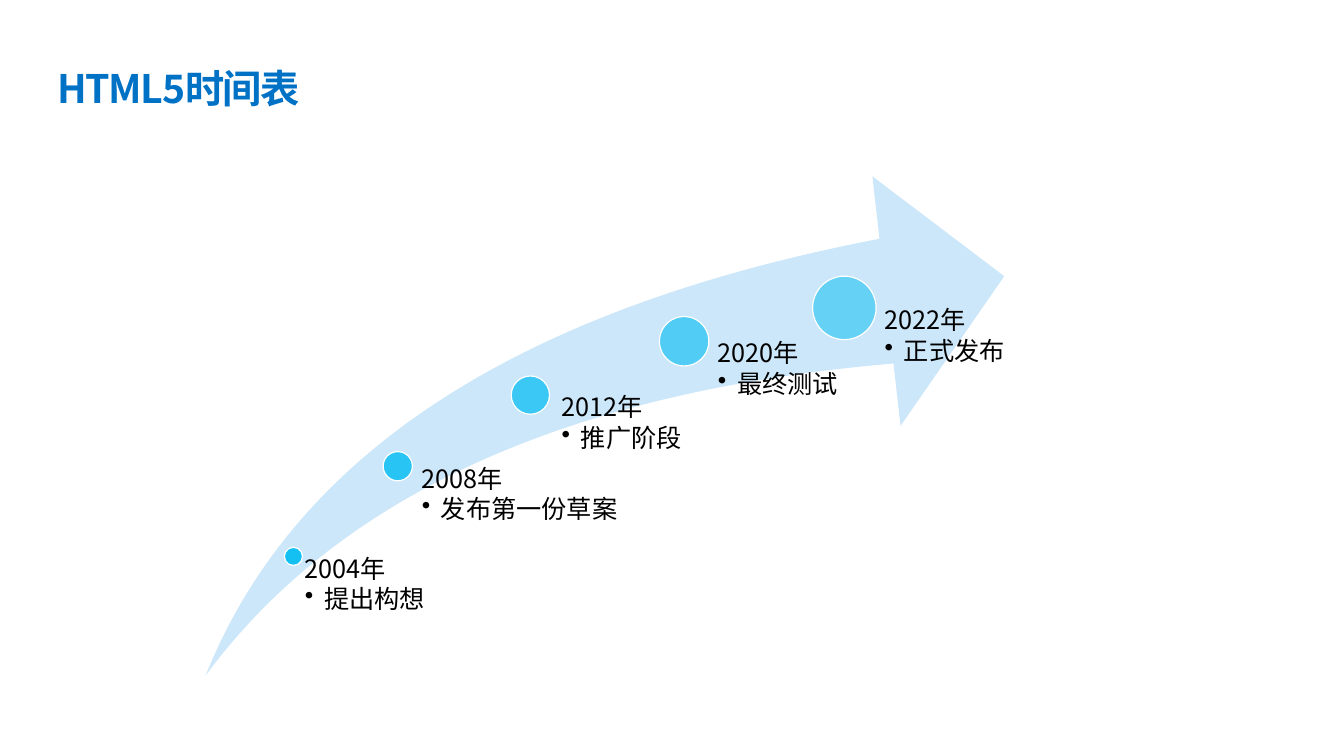
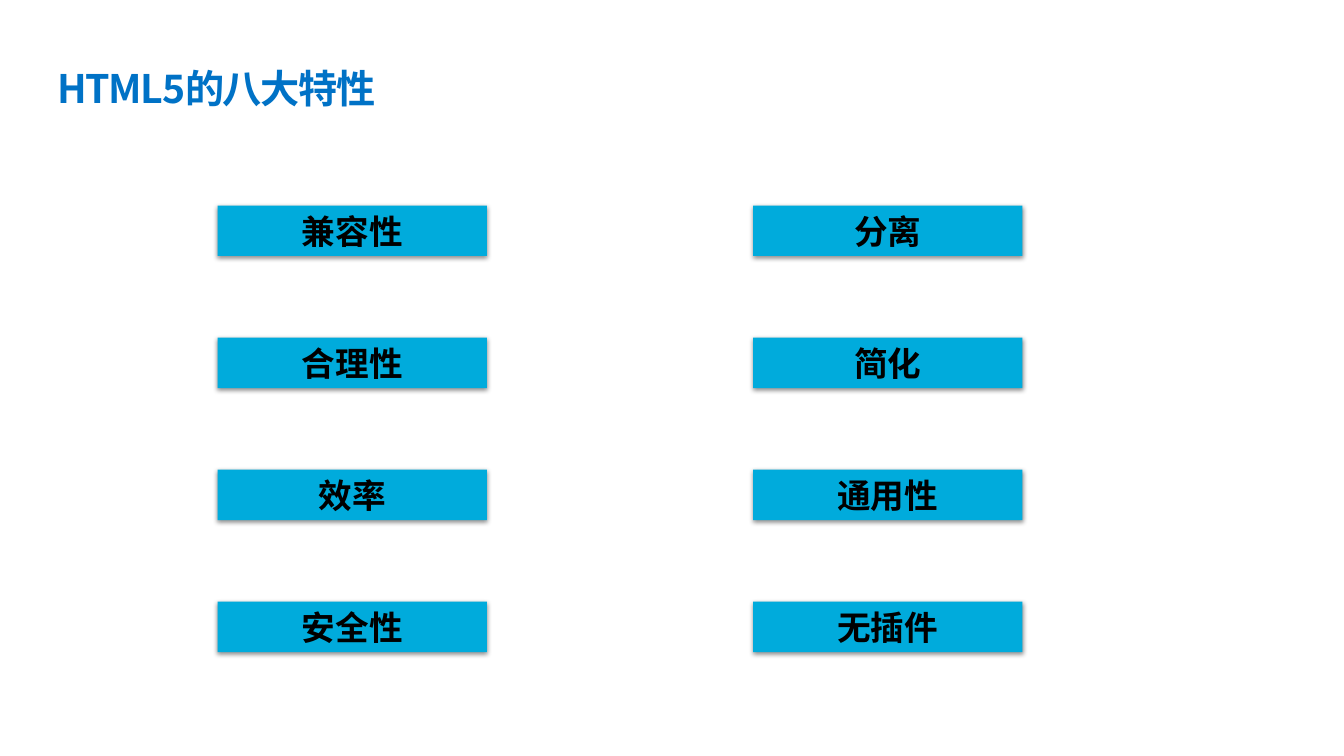
from lxml.etree import SubElement as Sub
from pptx import Presentation
from pptx.dml.color import RGBColor as RGB
from pptx.enum.shapes import MSO_SHAPE as Shape
from pptx.enum.text import MSO_ANCHOR as Anchor, MSO_AUTO_SIZE as Auto, PP_ALIGN as Align
from pptx.oxml.ns import qn
from pptx.util import Inches, Pt

COLORS = {
    "title": "0072C6",
    "arrow": "CCE7FA",
    "dot": "00BCF2",
    "box": "00ABDC",
    "text": "000000",
    "line": "FFFFFF",
}
SANS = "Noto Sans CJK SC"
BOTTOM = 6.7

STEPS = [
    (2.82, 5.43, 0.18, 2.93, 1.83, "2004年", "提出构想"),
    (3.8, 4.48, 0.29, 4.03, 2.16, "2008年", "发布第一份草案"),
    (5.07, 3.73, 0.38, 5.37, 1.83, "2012年", "推广阶段"),
    (6.54, 3.14, 0.49, 6.86, 1.58, "2020年", "最终测试"),
    (8.06, 2.74, 0.63, 8.44, 1.58, "2022年", "正式发布"),
]
TRAITS = [
    ["兼容性", "合理性", "效率", "安全性"],
    ["分离", "简化", "通用性", "无插件"],
]


class Deck:
    def __init__(self):
        self.prs = Presentation()
        self.prs.slide_width = Inches(13.33)
        self.prs.slide_height = Inches(7.5)
        self.slide = None

    def style(self, para, size, color="text", bold=False, face=SANS):
        for run in para.runs:
            font = run.font
            font.size = Pt(size)
            font.bold = bold
            font.name = face
            font.color.rgb = RGB.from_string(COLORS[color])
            Sub(run._r.get_or_add_rPr(), qn("a:ea")).set("typeface", SANS)

    def inset(self, frame, left=0):
        frame.margin_left = Inches(left)
        frame.margin_right = frame.margin_top = frame.margin_bottom = 0
        frame.vertical_anchor = Anchor.TOP
        frame.word_wrap = True

    def page(self, text):
        self.slide = self.prs.slides.add_slide(self.prs.slide_layouts[5])
        title = self.slide.shapes.title
        title.left, title.top = Inches(0.57), Inches(0.69)
        title.width, title.height = Inches(12.19), Inches(0.42)
        frame = title.text_frame
        frame.text = text
        self.inset(frame)
        frame.auto_size = Auto.SHAPE_TO_FIT_TEXT
        para = frame.paragraphs[0]
        para.alignment = Align.LEFT
        para.line_spacing = 0.9
        self.style(para, 28, "title", True)
        para.runs[0]._r.get_or_add_rPr().set("spc", "-100")

    def shape(self, kind, x, y, w, h, color):
        item = self.slide.shapes.add_shape(
            kind, Inches(x), Inches(y), Inches(w), Inches(h))
        item.shadow.inherit = False
        item.fill.solid()
        item.fill.fore_color.rgb = RGB.from_string(COLORS[color])
        item.line.fill.background()
        return item

    def arrow(self, x, y, w, h):
        item = self.shape(Shape.SWOOSH_ARROW, x, y, w, h, "arrow")
        item.adjustments[0] = item.adjustments[1] = 0.25

    def dot(self, x, y, size, alpha):
        item = self.shape(Shape.OVAL, x, y, size, size, "dot")
        item.line.color.rgb = RGB.from_string(COLORS["line"])
        item.line.width = Pt(0.85)
        tint = item._element.spPr.find(qn("a:solidFill"))[0]
        Sub(tint, qn("a:alpha")).set("val", str(alpha * 1000))

    def label(self, x, y, w, left, year, note):
        box = self.slide.shapes.add_textbox(
            Inches(x), Inches(y), Inches(w), Inches(BOTTOM - y))
        frame = box.text_frame
        self.inset(frame, left)
        head = frame.paragraphs[0]
        item = frame.add_paragraph()
        for para, text, gap in ((head, year, 2.2), (item, note, 1)):
            para.text = text
            para.line_spacing = 0.9
            para.space_after = Pt(gap)
            self.style(para, 18)
        item.level = 1
        props = item._p.get_or_add_pPr()
        props.set("marL", str(Inches(0.19)))
        props.set("indent", str(-Inches(0.19)))
        Sub(props, qn("a:buChar")).set("char", "•")

    def shade(self, item):
        fx = item._element.spPr.find(qn("a:effectLst"))
        cast = Sub(fx, qn("a:outerShdw"), blurRad=str(Pt(3.5)),
                   dist=str(Pt(1.1)), dir="5400000", rotWithShape="0")
        tint = Sub(cast, qn("a:srgbClr"), val=COLORS["text"])
        Sub(tint, qn("a:alpha"), val="45000")

    def box(self, x, y, text):
        item = self.shape(Shape.RECTANGLE, x, y, 2.67, 0.5, "box")
        self.shade(item)
        frame = item.text_frame
        frame.text = text
        frame.word_wrap = True
        frame.auto_size = Auto.SHAPE_TO_FIT_TEXT
        frame.vertical_anchor = Anchor.MIDDLE
        para = frame.paragraphs[0]
        para.alignment = Align.CENTER
        self.style(para, 24, bold=True, face="Cabin")


def main():
    deck = Deck()
    deck.page("HTML5时间表")
    deck.arrow(2.04, 1.75, 7.92, 4.95)
    for i, (x, y, size, left, wide, year, note) in enumerate(STEPS):
        deck.dot(x, y, size, 90 - 10 * i)
        deck.label(left, y + size / 2, wide, size * 0.53, year, note)

    deck.page("HTML5的八大特性")
    for col, names in enumerate(TRAITS):
        for row, name in enumerate(names):
            deck.box(2.16 + 5.31 * col, 2.04 + 1.31 * row, name)

    deck.prs.save("out.pptx")


if __name__ == "__main__":
    main()
